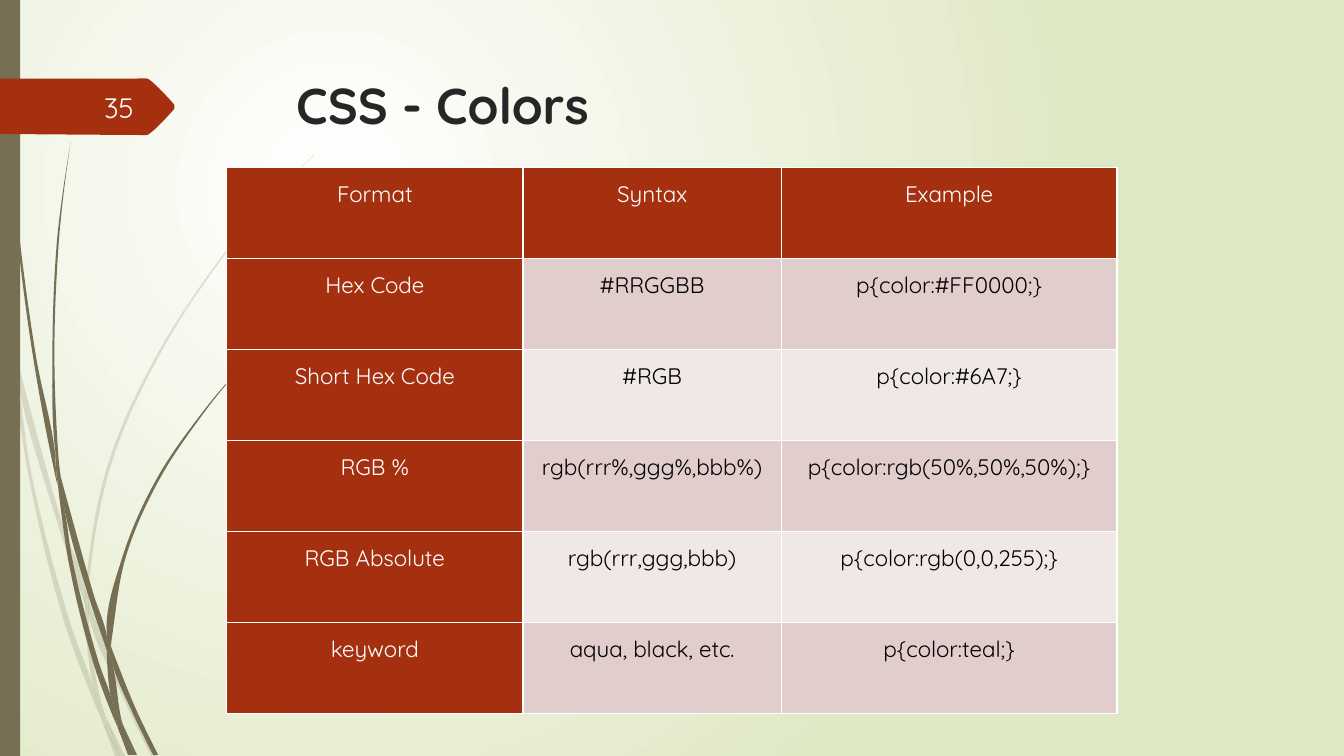
from lxml.etree import SubElement
from math import hypot
from pptx import Presentation
from pptx.dml.color import RGBColor
from pptx.enum.shapes import MSO_SHAPE
from pptx.enum.text import MSO_ANCHOR, MSO_AUTO_SIZE, PP_ALIGN
from pptx.oxml import parse_xml
from pptx.oxml.ns import nsdecls, qn
from pptx.util import Cm, Pt

FONT = "Quicksand"
COLORS = {
    "white": "FFFFFF",
    "green": "DFE8C4",
    "olive": "766F54",
    "rust": "A53010",
    "title": "262626",
    "number": "FEFFFF",
    "text": "000000",
    "band_dark": "E1CDCC",
    "band_light": "F0E8E7",
}
UNIT = Cm(0.0254)
PALE_STALKS = [
    [(11, 350), (9, 322), (0, 282), (0, 299), (10, 344)],
    [(58, 522), (84, 599), (85, 586), (62, 520), (14, 345), (17, 376)],
    [(92, 607), (88, 596), (88, 610), (123, 694), (150, 750), (155, 750), (127, 692)],
    [(119, 750), (124, 750), (105, 711)],
    [(93, 683), (70, 619), (31, 469), (17, 376), (11, 350), (28, 470), (65, 621),
     (92, 693), (101, 714), (99, 707)],
    [(84, 599), (87, 646), (93, 683), (96, 692), (105, 711), (103, 706), (91, 646),
     (88, 610), (88, 608)],
    [(88, 584), (110, 462), (160, 349), (229, 245), (268, 198), (290, 175), (312, 154),
     (312, 153), (289, 175), (268, 197), (228, 244), (158, 348), (107, 461), (85, 584),
     (85, 586), (88, 596)],
    [(101, 714), (114, 750), (119, 750)],
    [(88, 608), (88, 610), (88, 596), (85, 586), (84, 599)],
    [(96, 692), (93, 683), (99, 707), (101, 714), (119, 750), (105, 711)],
]
DARK_STALKS = [
    [(7, 110), (17, 233), (33, 355), (56, 477), (57, 481), (55, 457), (55, 453),
     (36, 355), (19, 232), (8, 109), (5, 48), (4, 0), (3, 0), (4, 48)],
    [(88, 592), (106, 645), (106, 633), (106, 631), (93, 590), (60, 472), (64, 505)],
    [(113, 649), (110, 641), (111, 656), (132, 708), (152, 749), (157, 749), (136, 706)],
    [(110, 691), (98, 657), (72, 556), (64, 505), (57, 477), (68, 557), (93, 659),
     (111, 708), (117, 722), (116, 717)],
    [(60, 472), (58, 453), (54, 349), (58, 245), (63, 193), (70, 141), (62, 193),
     (56, 245), (52, 349), (55, 449)],
    [(133, 749), (136, 749), (122, 719)],
    [(57, 477), (64, 505), (60, 472), (55, 449), (55, 453)],
    [(111, 633), (125, 552), (158, 476), (205, 406), (231, 374), (245, 359), (261, 344),
     (260, 344), (245, 358), (231, 373), (204, 405), (156, 474), (122, 551), (106, 631),
     (110, 641)],
    [(117, 722), (127, 749), (131, 749)],
    [(106, 645), (110, 691), (116, 706), (122, 719), (121, 716), (111, 656), (109, 651)],
    [(106, 645), (109, 651), (111, 656), (110, 641), (106, 631), (106, 633)],
    [(116, 706), (110, 691), (116, 717), (117, 722), (130, 749), (133, 749), (122, 719)],
]
FLAG = [(173, 30), (148, 55), (146, 56), (136, 56), (0, 55), (0, 0), (136, 0),
        (146, 0), (148, 1), (173, 26)]
ROWS = [
    ("Format", "Syntax", "Example"),
    ("Hex Code", "#RRGGBB", "p{color:#FF0000;}"),
    ("Short Hex Code", "#RGB", "p{color:#6A7;}"),
    ("RGB %", "rgb(rrr%,ggg%,bbb%)", "p{color:rgb(50%,50%,50%);}"),
    ("RGB Absolute", "rgb(rrr,ggg,bbb)", "p{color:rgb(0,0,255);}"),
    ("keyword", "aqua, black, etc.", "p{color:teal;}"),
]


def rgb(name):
    return RGBColor.from_string(COLORS[name])


def paint(sp, color):
    sp.shadow.inherit = False
    sp.fill.solid()
    sp.fill.fore_color.rgb = rgb(color)
    sp.line.fill.background()


def format_text(p, size, color, align, bold=False):
    p.alignment = align
    for r in p.runs:
        r.font.name = FONT
        r.font.size = Pt(size)
        r.font.bold = bold
        r.font.color.rgb = rgb(color)


def add_background(s):
    fill = s.background.fill
    fill.gradient()
    for stop, color in zip(fill.gradient_stops, ("white", "green")):
        stop.color.rgb = rgb(color)
    grad = s.element.find(".//" + qn("a:gradFill"))
    grad.replace(grad.find(qn("a:lin")), parse_xml(
        f'<a:path {nsdecls("a")} path="circle">'
        '<a:fillToRect l="50000" t="50000" r="100000" b="100000"/></a:path>'))


def direction(a, b):
    length = hypot(b[0] - a[0], b[1] - a[1])
    return (b[0] - a[0]) / length, (b[1] - a[1]) / length


def tangent(a, b, c):
    (ux, uy), (vx, vy) = direction(a, b), direction(b, c)
    smooth = ux * vx + uy * vy > 0.8
    return ((ux + vx) / 2, (uy + vy) / 2) if smooth else (0, 0)


def bend_edges(sp):
    edges = list(sp.element.iter(qn("a:lnTo")))
    corners = [(int(e[0].get("x")), int(e[0].get("y"))) for e in edges]
    n = len(corners)
    tangents = [tangent(corners[i - 1], corners[i], corners[(i + 1) % n]) for i in range(n)]
    for i, edge in enumerate(edges):
        (ax, ay), (bx, by) = corners[i - 1], corners[i]
        (tx, ty), (ux, uy) = tangents[i - 1], tangents[i]
        reach = hypot(bx - ax, by - ay) / 3
        curve = SubElement(edge.getparent(), qn("a:cubicBezTo"))
        for x, y in ((ax + tx * reach, ay + ty * reach),
                     (bx - ux * reach, by - uy * reach), (bx, by)):
            pt = SubElement(curve, qn("a:pt"))
            pt.set("x", str(round(x)))
            pt.set("y", str(round(y)))
        edge.getparent().replace(edge, curve)


def add_outline(s, left, top, points, color, alpha=None):
    outline = [(left + x * UNIT, top + y * UNIT) for x, y in points]
    builder = s.shapes.build_freeform(*outline[0])
    builder.add_line_segments(outline[1:] + outline[:1], close=True)
    sp = builder.convert_to_shape()
    bend_edges(sp)
    paint(sp, color)
    if alpha:
        fill = sp.element.spPr.find(".//" + qn("a:srgbClr"))
        SubElement(fill, qn("a:alpha")).set("val", str(alpha * 1000))


def add_side_decor(s, left, top, width, height):
    for points in PALE_STALKS:
        add_outline(s, left, top, points, "olive", alpha=20)
    for points in DARK_STALKS:
        add_outline(s, left, top, points, "olive")
    paint(s.shapes.add_shape(MSO_SHAPE.RECTANGLE, left, top, width, height), "olive")


def add_number_flag(s, left, top, number):
    add_outline(s, left, top, FLAG, "rust")
    box = s.shapes.add_textbox(left + Cm(1.47), top + Cm(0.21), Cm(2.16), Cm(1.02))
    tf = box.text_frame
    tf.word_wrap = True
    tf.vertical_anchor = MSO_ANCHOR.MIDDLE
    tf.text = number
    format_text(tf.paragraphs[0], 20, "number", PP_ALIGN.RIGHT)


def add_title(s, left, top, width, height, text):
    title = s.shapes.title
    title.left, title.top, title.width, title.height = left, top, width, height
    tf = title.text_frame
    tf.text = text
    tf.word_wrap = True
    tf.auto_size = MSO_AUTO_SIZE.NONE
    tf.vertical_anchor = MSO_ANCHOR.TOP
    format_text(tf.paragraphs[0], 36, "title", PP_ALIGN.LEFT, bold=True)


def add_borders(frame):
    for props in frame.element.iter(qn("a:tcPr")):
        for i, side in enumerate("LRTB"):
            props.insert(i, parse_xml(
                f'<a:ln{side} {nsdecls("a")} w="{Pt(1)}"><a:solidFill>'
                f'<a:srgbClr val="{COLORS["white"]}"/></a:solidFill></a:ln{side}>'))


def add_format_table(s, left, top, width, height):
    frame = s.shapes.add_table(len(ROWS), len(ROWS[0]), left, top, width, height)
    table = frame.table
    table.first_row = table.horz_banding = False
    for column, share in zip(table.columns, (0.333, 0.29, 0.377)):
        column.width = int(width * share)
    for i, row in enumerate(ROWS):
        for j, text in enumerate(row):
            cell = table.cell(i, j)
            heading = i == 0 or j == 0
            band = "band_dark" if i % 2 else "band_light"
            cell.fill.solid()
            cell.fill.fore_color.rgb = rgb("rust" if heading else band)
            cell.margin_left = cell.margin_right = Cm(0.2)
            cell.margin_top = cell.margin_bottom = Cm(0.2)
            cell.text_frame.text = text
            p = cell.text_frame.paragraphs[0]
            p.line_spacing = 1.15
            p.space_after = Pt(15)
            format_text(p, 16, "white" if heading else "text", PP_ALIGN.CENTER)
    add_borders(frame)


prs = Presentation()
prs.slide_width, prs.slide_height = Cm(33.87), Cm(19.05)
s = prs.slides.add_slide(prs.slide_layouts[5])
add_background(s)
add_side_decor(s, 0, 0, Cm(0.51), prs.slide_height)
add_number_flag(s, 0, Cm(1.98), "35")
add_title(s, Cm(7.21), Cm(1.73), Cm(24.77), Cm(3.56), "CSS - Colors")
add_format_table(s, Cm(5.71), Cm(4.23), Cm(22.44), Cm(13.76))
prs.save("out.pptx")
